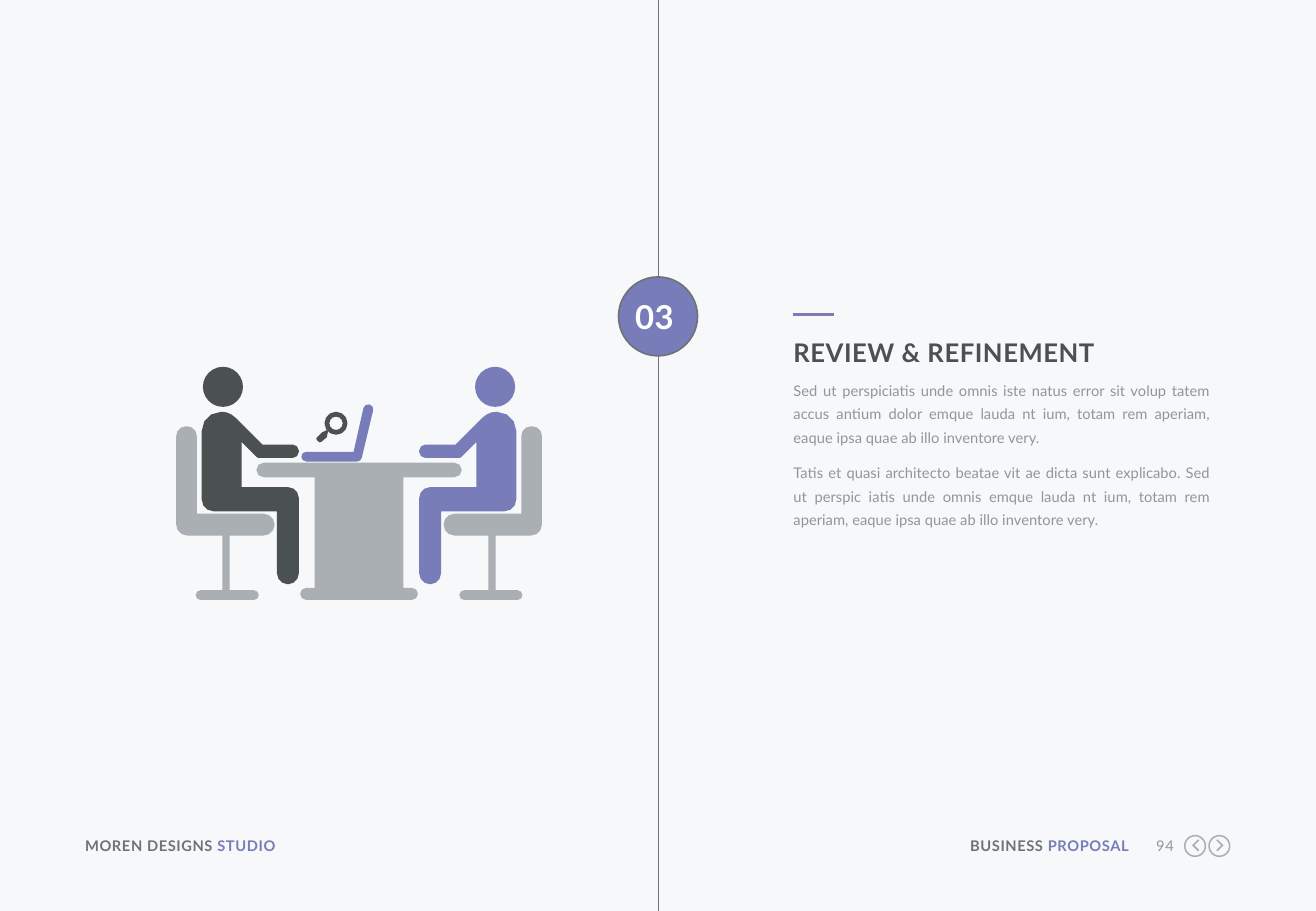
from math import acos, hypot, tan

from lxml import etree
from pptx import Presentation
from pptx.dml.color import RGBColor
from pptx.enum.shapes import MSO_CONNECTOR, MSO_SHAPE
from pptx.enum.text import MSO_AUTO_SIZE, PP_ALIGN
from pptx.oxml.ns import qn
from pptx.util import Inches, Pt

OVAL = MSO_SHAPE.OVAL
STRAIGHT = MSO_CONNECTOR.STRAIGHT
GROW = MSO_AUTO_SIZE.SHAPE_TO_FIT_TEXT
LEFT, RIGHT = PP_ALIGN.LEFT, PP_ALIGN.RIGHT
CENTER, JUSTIFY = PP_ALIGN.CENTER, PP_ALIGN.JUSTIFY

COLORS = {
    "back": "F6F8FA", "accent": "787DB9", "dark": "4B5050",
    "slate": "6E7378", "muted": "91969B", "light": "AAAFB4", "white": "FFFFFF",
}
FRAME = {"margin_left": 0, "margin_top": 0, "margin_right": 0,
         "margin_bottom": 0, "word_wrap": True, "auto_size": GROW}
SMALL = {"name": "Lato", "size": Pt(8.7), "bold": False}
LABEL = {**SMALL, "bold": True}
TITLE = {**LABEL, "size": Pt(15.2)}
NUMBER = {**LABEL, "size": Pt(19.5)}
TITLE_GAP = {"line_spacing": Pt(18.4), "space_after": Pt(6.5)}
BODY_GAP = {"line_spacing": Pt(14.1), "space_after": Pt(6.5)}

DESK_AXIS = 2.955
ARROW_AXIS = 9.94
PERSON = [
    (1.66, 3.39, 0.16), (1.89, 3.39, 0.16), (2.16, 3.66, 0),
    (2.46, 3.66, 0.05), (2.46, 3.77, 0.05), (2.12, 3.77, 0.03),
    (1.99, 3.64, 0), (1.99, 4.01, 0), (2.46, 4.01, 0.09),
    (2.46, 4.81, 0.09), (2.28, 4.81, 0.09), (2.28, 4.21, 0),
    (1.66, 4.21, 0.1),
]
CHAIR = [
    (1.45, 3.51, 0.08), (1.62, 3.51, 0.08), (1.62, 4.23, 0),
    (2.26, 4.23, 0.09), (2.26, 4.41, 0.09), (1.89, 4.41, 0),
    (1.89, 4.86, 0), (2.13, 4.86, 0.04), (2.13, 4.94, 0.04),
    (1.61, 4.94, 0.04), (1.61, 4.86, 0.04), (1.83, 4.86, 0),
    (1.83, 4.41, 0), (1.45, 4.41, 0.09),
]
HALF_DESK = [
    (2.47, 4.94, 0.05), (2.47, 4.84, 0.05), (2.59, 4.84, 0),
    (2.59, 3.93, 0), (2.11, 3.93, 0.06), (2.11, 3.81, 0.06),
]
LAPTOP = [
    (2.48, 3.72, 0.04), (2.91, 3.72, 0), (3, 3.32, 0.04),
    (3.08, 3.34, 0.04), (2.97, 3.8, 0.04), (2.48, 3.8, 0.04),
]
HANDLE = [
    (2.6, 3.61, 0.01), (2.65, 3.56, 0), (2.69, 3.54, 0),
    (2.7, 3.55, 0), (2.69, 3.6, 0), (2.63, 3.65, 0.02),
]
CHEVRON = [
    (10.01, 6.92, 0), (10.02, 6.91, 0), (10.07, 6.96, 0),
    (10.02, 7.01, 0), (10.01, 7, 0), (10.05, 6.96, 0),
]


def color(name):
    return RGBColor.from_string(COLORS[name])


def apply(item, style):
    for key, value in style.items():
        setattr(item, key, value)


def paint(shape, fill):
    shape.shadow.inherit = False
    shape.fill.solid()
    shape.fill.fore_color.rgb = color(fill)
    shape.line.fill.background()


def edge(shape, tint, width):
    shape.line.color.rgb = color(tint)
    shape.line.width = Pt(width)


def mirror(points, axis):
    return [(2 * axis - x, y, r) for x, y, r in points]


def bend(last, here, after):
    x, y, r = here
    if not r:
        return [(x, y)]
    ax, ay = last[0] - x, last[1] - y
    bx, by = after[0] - x, after[1] - y
    la, lb = hypot(ax, ay), hypot(bx, by)
    turn = acos(-(ax * bx + ay * by) / (la * lb))
    cut = r * tan(turn / 2)
    pull = cut - r * 4 / 3 * tan(turn / 4)
    count = 3 if r > 0.07 else 2
    curve = []
    for step in range(count + 1):
        t = step / count
        a = (cut * (1 - t) + 3 * pull * t) * (1 - t) ** 2 / la
        b = (cut * t + 3 * pull * (1 - t)) * t ** 2 / lb
        curve.append((x + a * ax + b * bx, y + a * ay + b * by))
    return curve


def add_form(slide, fill, corners):
    spots = []
    for i, here in enumerate(corners):
        after = corners[(i + 1) % len(corners)]
        spots += bend(corners[i - 1], here, after)
    first, *others = [(Inches(x), Inches(y)) for x, y in spots]
    pen = slide.shapes.build_freeform(*first)
    pen.add_line_segments(others)
    paint(pen.convert_to_shape(), fill)


def add_disc(slide, x, y, size, fill):
    disc = slide.shapes.add_shape(
        OVAL, Inches(x), Inches(y), Inches(size), Inches(size))
    paint(disc, fill)
    return disc


def add_ring(slide, x, y, size, tint, width):
    ring = add_disc(slide, x, y, size, tint)
    ring.fill.background()
    edge(ring, tint, width)


def add_rule(slide, start, end, tint, width):
    ends = [Inches(v) for v in (*start, *end)]
    rule = slide.shapes.add_connector(STRAIGHT, *ends)
    edge(rule, tint, width)
    etree.SubElement(rule._element.spPr, qn("a:effectLst"))


def add_text(slide, box, paras, style, align=LEFT, gap={}, track=0):
    frame = slide.shapes.add_textbox(*[Inches(v) for v in box]).text_frame
    apply(frame, FRAME)
    for i, parts in enumerate(paras):
        para = frame.add_paragraph() if i else frame.paragraphs[0]
        apply(para, {"alignment": align, **gap})
        for words, tint in parts:
            run = para.add_run()
            run.text = words
            apply(run.font, style)
            run.font.color.rgb = color(tint)
            run._r.get_or_add_rPr().set("spc", str(track))


def add_footer(slide):
    add_text(slide, (0.7, 6.89, 2.11, 0.15),
             [[("MOREN DESIGNS ", "slate"), ("STUDIO", "accent")]],
             LABEL, track=30)
    add_text(slide, (7.92, 6.89, 1.37, 0.15),
             [[("BUSINESS ", "slate"), ("PROPOSAL", "accent")]],
             LABEL, RIGHT, track=30)
    add_text(slide, (9.41, 6.89, 0.25, 0.15), [[("94", "muted")]],
             SMALL, RIGHT, track=30)
    add_form(slide, "light", CHEVRON)
    add_form(slide, "light", mirror(CHEVRON, ARROW_AXIS))
    for x in (9.75, 9.95):
        add_ring(slide, x, 6.88, 0.17, "light", 0.9)


def add_scene(slide):
    add_form(slide, "accent", LAPTOP)
    add_form(slide, "dark", HANDLE)
    add_ring(slide, 2.69, 3.41, 0.15, "dark", 2.8)
    add_form(slide, "dark", PERSON)
    add_form(slide, "accent", mirror(PERSON, DESK_AXIS))
    add_disc(slide, 1.67, 3.02, 0.33, "dark")
    add_disc(slide, 3.91, 3.02, 0.33, "accent")
    add_form(slide, "light", CHAIR)
    add_form(slide, "light", mirror(CHAIR, DESK_AXIS))
    add_form(slide, "light", HALF_DESK + mirror(HALF_DESK, DESK_AXIS)[::-1])


def add_step(slide):
    edge(add_disc(slide, 5.09, 2.28, 0.65, "accent"), "slate", 1)
    for top, end in ((0, 2.28), (2.93, 7.5)):
        add_rule(slide, (5.42, top), (5.42, end), "slate", 1)
    add_text(slide, (5.19, 2.44, 0.39, 0.33), [[("03", "white")]],
             NUMBER, CENTER, track=20)


def add_story(slide):
    add_rule(slide, (6.53, 2.59), (6.86, 2.59), "accent", 1.5)
    add_text(slide, (6.53, 2.77, 3.44, 0.25),
             [[("REVIEW & REFINEMENT", "dark")]], TITLE, LEFT, TITLE_GAP, 30)
    add_text(slide, (6.53, 3.09, 3.43, 1.28), [
        [("Sed ut perspiciatis unde omnis iste natus error sit volup tatem "
          "accus antium dolor emque lauda nt ium, totam rem aperiam, "
          "eaque ipsa quae ab illo inventore very.", "muted")],
        [("Tatis et quasi architecto beatae vit ae dicta sunt explicabo. "
          "Sed ut perspic iatis unde omnis emque lauda nt ium, totam rem "
          "aperiam, eaque ipsa quae ab illo inventore very.", "muted")],
    ], SMALL, JUSTIFY, BODY_GAP)


def main():
    deck = Presentation()
    deck.slide_width, deck.slide_height = Inches(10.83), Inches(7.5)
    slide = deck.slides.add_slide(deck.slide_layouts[6])
    slide.background.fill.solid()
    slide.background.fill.fore_color.rgb = color("back")
    for build in (add_footer, add_step, add_scene, add_story):
        build(slide)
    deck.save("out.pptx")


if __name__ == "__main__":
    main()
